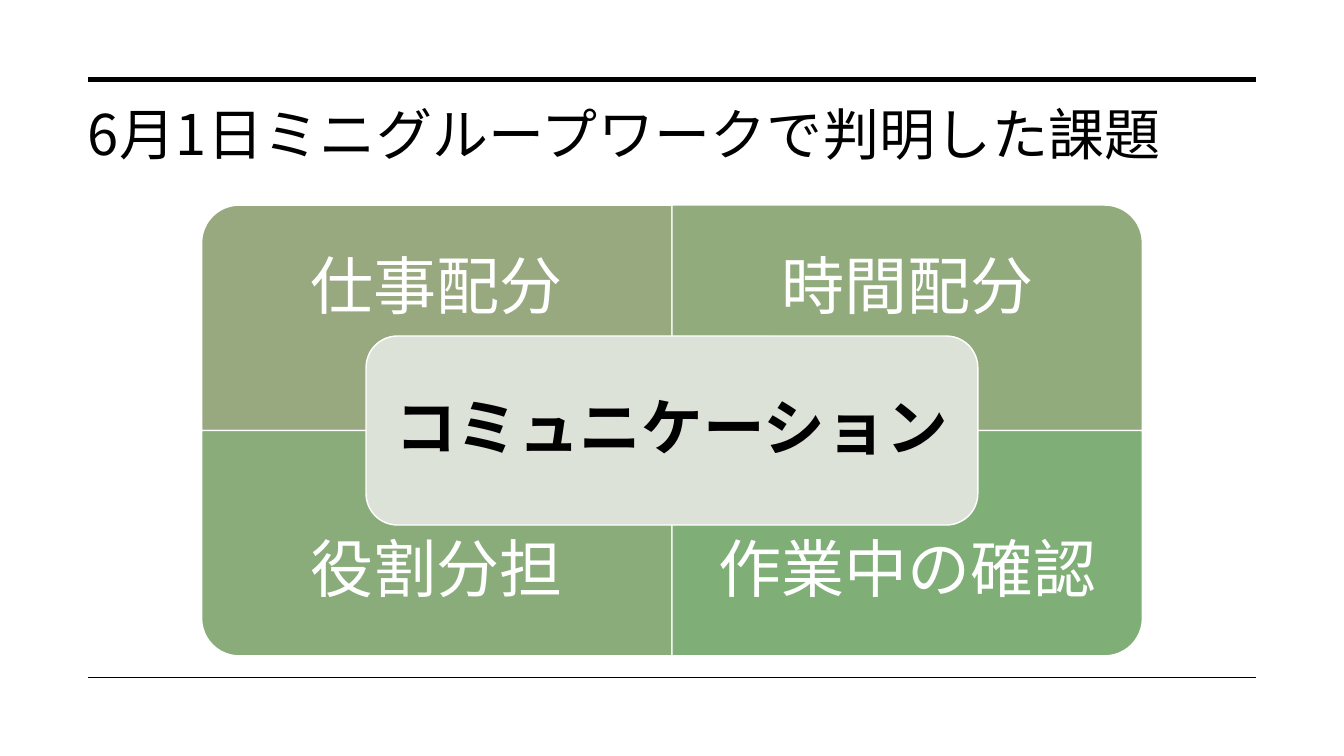
from dataclasses import dataclass

from lxml.etree import SubElement
from pptx import Presentation
from pptx.dml.color import RGBColor
from pptx.enum.shapes import MSO_CONNECTOR, MSO_SHAPE
from pptx.enum.text import MSO_ANCHOR, MSO_AUTO_SIZE, PP_ALIGN
from pptx.oxml.ns import qn
from pptx.util import Pt


@dataclass(frozen=True)
class Theme:
    font: str = "Noto Sans CJK JP"
    ink: str = "000000"
    white: str = "FFFFFF"
    core: str = "DDE2D8"
    title: float = 40
    label: float = 45
    focus: float = 44


THEME = Theme()
MID_X, MID_Y = 480, 307.5
CELL_W, CELL_H = 336, 161
LABEL_H = 120
CORE_W, CORE_H = 437, 135

# label, fill, turn that points the round corner outward
ISSUES = [
    ("仕事配分", "98A980", 270),
    ("時間配分", "91AB7D", 0),
    ("役割分担", "89AC7A", 180),
    ("作業中の確認", "7FAE77", 90),
]


def color(code):
    return RGBColor.from_string(code)


def write(shape, text, size, ink=THEME.ink, bold=False, align=PP_ALIGN.CENTER,
          anchor=MSO_ANCHOR.MIDDLE, inset=(0, 0), track=0):
    """Set one line of text; inset is (sides, top and bottom) and track is in points."""
    frame = shape.text_frame
    frame.word_wrap = True
    frame.auto_size = MSO_AUTO_SIZE.NONE
    frame.vertical_anchor = anchor
    frame.margin_left = frame.margin_right = Pt(inset[0])
    frame.margin_top = frame.margin_bottom = Pt(inset[1])
    para = frame.paragraphs[0]
    para.alignment = align
    para.line_spacing = 0.9
    run = para.add_run()
    run.text = text
    font = run.font
    font.name, font.size, font.bold = THEME.font, Pt(size), bold
    font.color.rgb = color(ink)
    props = run._r.get_or_add_rPr()
    SubElement(props, qn("a:ea")).set("typeface", THEME.font)
    if track:
        props.set("spc", str(round(track * 100)))


def panel(slide, kind, mid_x, mid_y, width, height, fill, turn=0):
    """Draw a shape that covers width by height around its middle after the turn."""
    if turn % 180:
        width, height = height, width
    shape = slide.shapes.add_shape(kind, Pt(mid_x - width / 2), Pt(mid_y - height / 2),
                                   Pt(width), Pt(height))
    shape.rotation = turn
    shape.shadow.inherit = False
    shape.fill.solid()
    shape.fill.fore_color.rgb = color(fill)
    shape.line.color.rgb = color(THEME.white)
    shape.line.width = Pt(1)
    return shape


def rule(slide, y, weight):
    line = slide.shapes.add_connector(MSO_CONNECTOR.STRAIGHT, Pt(63), Pt(y), Pt(897), Pt(y))
    line.line.color.rgb = color(THEME.ink)
    line.line.width = Pt(weight)
    SubElement(line._element.spPr, qn("a:effectLst"))


def heading(slide, text):
    title = slide.shapes.title
    title.left, title.top, title.width, title.height = Pt(55.5), Pt(73), Pt(842), Pt(108)
    write(title, text, THEME.title, align=PP_ALIGN.LEFT, anchor=MSO_ANCHOR.TOP,
          inset=(7.2, 3.6), track=0.3)


def matrix(slide):
    for i, (text, fill, turn) in enumerate(ISSUES):
        row, col = divmod(i, 2)
        left = MID_X + (col - 1) * CELL_W
        top = MID_Y + (row - 1) * CELL_H
        panel(slide, MSO_SHAPE.ROUND_1_RECTANGLE, left + CELL_W / 2, top + CELL_H / 2,
              CELL_W, CELL_H, fill, turn)
        # labels keep to the outer edge, clear of the core
        label_top = top + row * (CELL_H - LABEL_H)
        label = slide.shapes.add_textbox(Pt(left), Pt(label_top), Pt(CELL_W), Pt(LABEL_H))
        write(label, text, THEME.label, ink=THEME.white, inset=(25, 25))


def main():
    deck = Presentation()
    deck.slide_width, deck.slide_height = Pt(960), Pt(540)
    slide = deck.slides.add_slide(deck.slide_layouts[5])
    rule(slide, 57, 3.5)
    rule(slide, 484, 1)
    heading(slide, "6月1日ミニグループワークで判明した課題")
    matrix(slide)
    core = panel(slide, MSO_SHAPE.ROUNDED_RECTANGLE, MID_X, MID_Y, CORE_W, CORE_H, THEME.core)
    write(core, "コミュニケーション", THEME.focus, bold=True, inset=(12, 12))
    deck.save("out.pptx")


if __name__ == "__main__":
    main()
